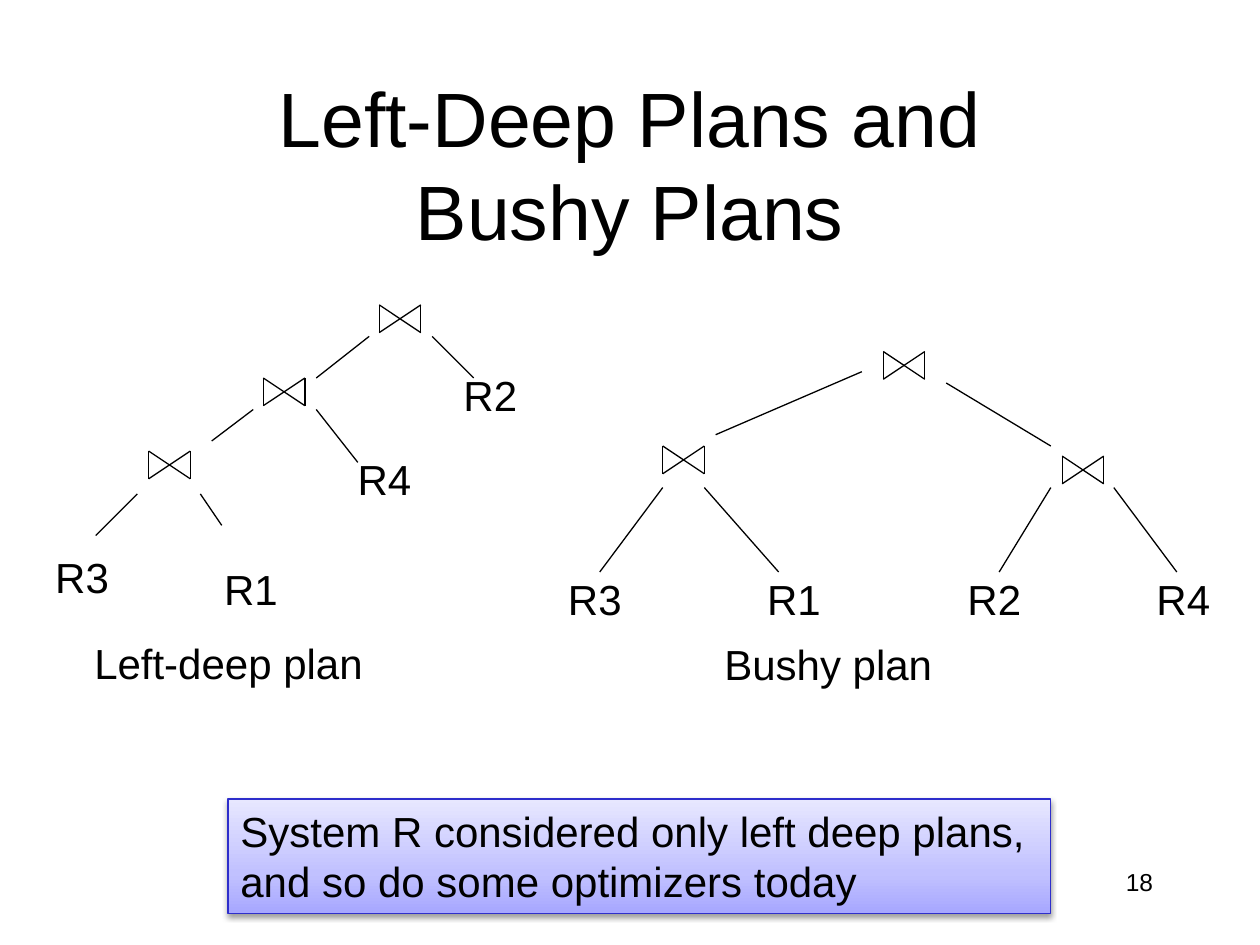
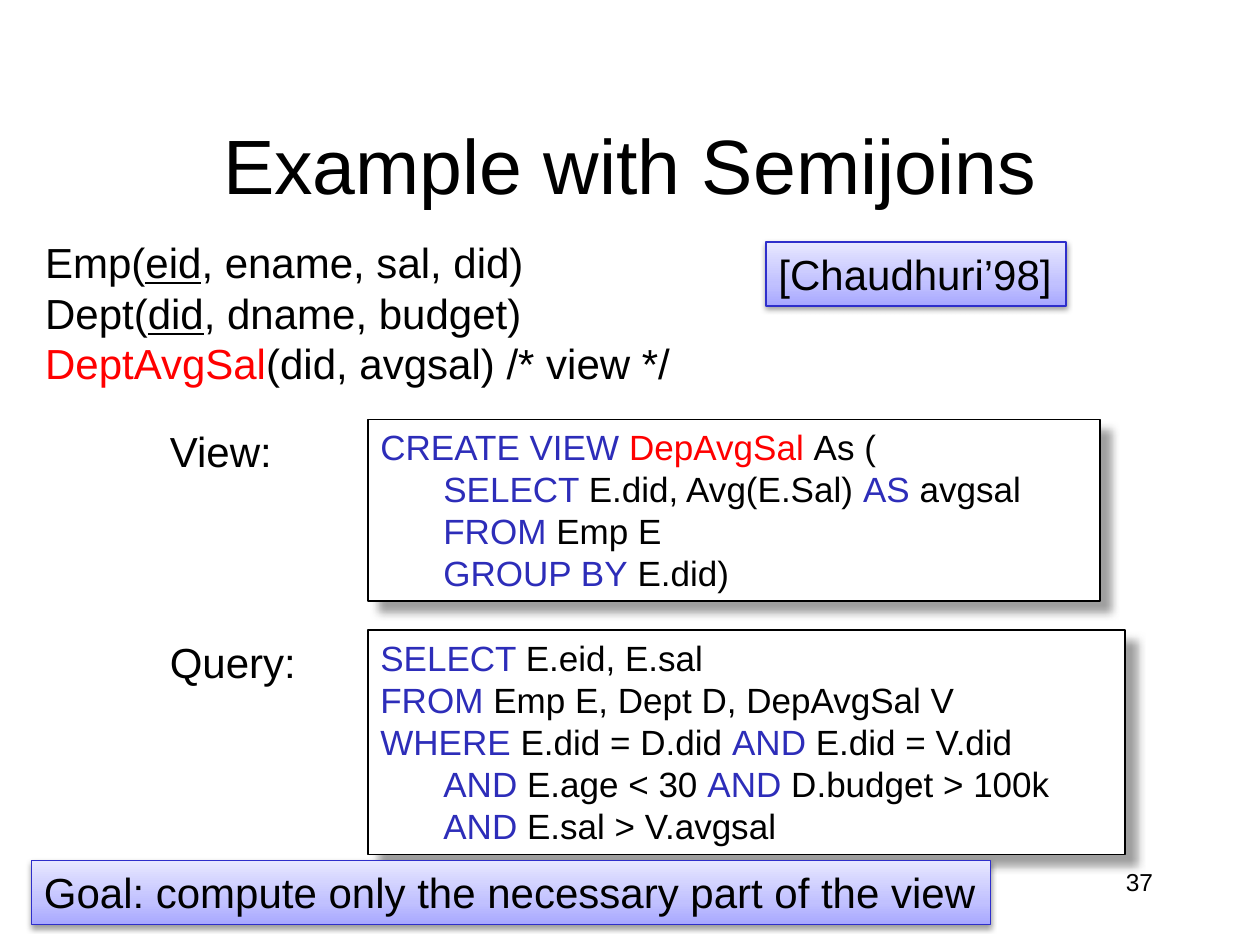
from copy import deepcopy
from dataclasses import dataclass
from typing import NamedTuple

from lxml.etree import SubElement
from pptx import Presentation
from pptx.dml.color import RGBColor
from pptx.enum.shapes import MSO_CONNECTOR as Connector, MSO_SHAPE as Preset
from pptx.enum.text import MSO_ANCHOR as Anchor, MSO_AUTO_SIZE as AutoSize, PP_ALIGN as Align
from pptx.oxml.ns import qn
from pptx.util import Inches, Pt


class Shadow(NamedTuple):
    color: str
    opacity: int
    blur: float
    distance: float
    angle: int


@dataclass(frozen=True)
class Theme:
    font: str = "Arial"
    title_size: int = 44
    body_size: int = 24
    code_size: int = 20
    number_size: int = 14
    line_width: float = 0.75
    ink: RGBColor = RGBColor(0, 0, 0)
    paper: RGBColor = RGBColor(255, 255, 255)
    keyword: RGBColor = RGBColor.from_string("2D2DB9")
    view_name: RGBColor = RGBColor.from_string("FF0000")
    callout_line: RGBColor = RGBColor.from_string("2E2ECB")
    callout_stops: tuple = ((0, "A7A7FF"), (0.35, "C1C1FF"), (1, "E7E7FF"))
    callout_shadow: Shadow = Shadow("000000", 38, 3.15, 1.57, 90)
    code_shadow: Shadow = Shadow("808080", 75, 5, 8.5, 45)


THEME = Theme()


class Run(NamedTuple):
    text: str
    color: RGBColor = THEME.ink
    underline: bool = False


class Box(NamedTuple):
    left: float
    top: float
    width: float
    height: float


class Edge(NamedTuple):
    x1: float
    y1: float
    x2: float
    y2: float


class Label(NamedTuple):
    text: str
    left: float
    top: float
    width: float = 0.63


@dataclass(frozen=True)
class PlanTree:
    joins: tuple
    edges: tuple
    labels: tuple


TITLE_BOX = Box(0.75, 0.67, 8.5, 1.25)
NUMBER_BOX = Box(7.17, 6.83, 2.08, 0.5)
LABEL_HEIGHT = 0.5
JOIN_WIDTH, JOIN_HEIGHT = 0.33, 0.22
CODE_LEFT, CODE_LABEL_LEFT = 2.92, 1.25

BUSHY_PLAN = PlanTree(
    joins=((5.26, 3.54), (8.43, 3.62), (7.01, 2.79)),
    edges=(
        Edge(5.26, 3.87, 4.76, 4.54),
        Edge(5.59, 3.87, 6.18, 4.54),
        Edge(8.34, 3.87, 7.93, 4.54),
        Edge(8.84, 3.87, 9.34, 4.54),
        Edge(6.84, 2.95, 5.68, 3.45),
        Edge(7.51, 3.04, 8.34, 3.54),
    ),
    labels=(
        Label("R3", 4.41, 4.5),
        Label("R1", 5.99, 4.5),
        Label("R2", 7.58, 4.5),
        Label("R4", 9.08, 4.5),
        Label("Bushy plan", 5.65, 5.02, 1.85),
    ),
)

LEFT_DEEP_PLAN = PlanTree(
    joins=((3.01, 2.42), (2.09, 3), (1.18, 3.58)),
    edges=(
        Edge(1.09, 3.92, 0.76, 4.25),
        Edge(1.59, 3.92, 1.76, 4.17),
        Edge(2.01, 3.25, 1.68, 3.5),
        Edge(2.51, 3.25, 2.84, 3.67),
        Edge(2.93, 2.67, 2.51, 3),
        Edge(3.43, 2.67, 3.76, 3),
    ),
    labels=(
        Label("R3", 0.34, 4.33),
        Label("R1", 1.68, 4.42),
        Label("R4", 2.74, 3.55),
        Label("R2", 3.58, 2.88),
        Label("Left-deep plan", 0.65, 5.01, 2.34),
    ),
)


def keyword(text: str) -> Run:
    return Run(text, THEME.keyword)


VIEW_CODE = (
    (keyword("CREATE VIEW "), Run("DepAvgSal ", THEME.view_name), Run("As (")),
    (Run("\t"), keyword("SELECT "), Run("E.did, Avg(E.Sal) "), keyword("AS"), Run(" avgsal")),
    (Run("\t"), keyword("FROM "), Run("Emp E")),
    (Run("\t"), keyword("GROUP BY"), Run(" E.did)")),
)

QUERY_CODE = (
    (keyword("SELECT "), Run("E.eid, E.sal")),
    (keyword("FROM"), Run(" Emp E, Dept D, DepAvgSal V")),
    (keyword("WHERE"), Run(" E.did = D.did "), keyword("AND"), Run(" E.did = V.did")),
    (Run("\t"), keyword("AND "), Run("E.age < 30 "), keyword("AND"), Run(" D.budget > 100k")),
    (Run("\t"), keyword("AND"), Run(" E.sal > V.avgsal")),
)

SCHEMA = (
    (
        Run("Emp("),
        Run("eid", underline=True),
        Run(", ename, sal, did)\nDept("),
        Run("did", underline=True),
        Run(", dname, budget)"),
    ),
    (Run("DeptAvgSal", THEME.view_name), Run("(did, avgsal) /* view */")),
)


def apply_format(target, values: dict) -> None:
    for name, value in values.items():
        setattr(target, name, value)


def inches(values: tuple) -> list:
    return [Inches(value) for value in values]


def plain(text: str) -> tuple:
    return ((Run(text),),)


def write_text(shape, paragraphs: tuple, size: int, align=Align.LEFT, **frame_format) -> None:
    frame = shape.text_frame
    defaults = {
        "word_wrap": False,
        "auto_size": AutoSize.SHAPE_TO_FIT_TEXT,
        "vertical_anchor": Anchor.TOP,
    }
    apply_format(frame, defaults | frame_format)
    for index, runs in enumerate(paragraphs):
        paragraph = frame.add_paragraph() if index else frame.paragraphs[0]
        paragraph.alignment = align
        for run in runs:
            for part_index, part in enumerate(run.text.split("\n")):
                if part_index:
                    paragraph.add_line_break()
                piece = paragraph.add_run()
                piece.text = part
                font_format = {"name": THEME.font, "size": Pt(size), "underline": run.underline}
                apply_format(piece.font, font_format)
                piece.font.color.rgb = run.color


def add_text(slide, box: Box, paragraphs: tuple, size: int = THEME.body_size, **options) -> None:
    write_text(slide.shapes.add_textbox(*inches(box)), paragraphs, size, **options)


def add_label(slide, label: Label) -> None:
    box = Box(label.left, label.top, label.width, LABEL_HEIGHT)
    add_text(slide, box, plain(label.text))


def add_line(shapes, edge: Edge) -> None:
    line = shapes.add_connector(Connector.STRAIGHT, *inches(edge))
    line.line.color.rgb = THEME.ink
    line.line.width = Pt(THEME.line_width)
    SubElement(line._element.spPr, qn("a:effectLst"))


def add_join(slide, left: float, top: float) -> None:
    right, bottom = left + JOIN_WIDTH, top + JOIN_HEIGHT
    corners = ((left, top), (right, bottom), (right, top), (left, bottom))
    group = slide.shapes.add_group_shape()
    for start, end in zip(corners, corners[1:] + corners[:1]):
        add_line(group.shapes, Edge(*start, *end))


def add_plan(slide, plan: PlanTree) -> None:
    for left, top in plan.joins:
        add_join(slide, left, top)
    for edge in plan.edges:
        add_line(slide.shapes, edge)
    for label in plan.labels:
        add_label(slide, label)


def add_shadow(shape, shadow: Shadow) -> None:
    shape.shadow.inherit = False
    effects = shape._element.spPr.find(qn("a:effectLst"))
    outer = SubElement(
        effects,
        qn("a:outerShdw"),
        blurRad=str(Pt(shadow.blur)),
        dist=str(Pt(shadow.distance)),
        dir=str(shadow.angle * 60000),
        rotWithShape="0",
    )
    color = SubElement(outer, qn("a:srgbClr"), val=shadow.color)
    SubElement(color, qn("a:alpha"), val=str(shadow.opacity * 1000))


def add_panel(slide, box: Box, line_color: RGBColor, shadow: Shadow):
    panel = slide.shapes.add_shape(Preset.RECTANGLE, *inches(box))
    panel.line.color.rgb = line_color
    panel.line.width = Pt(THEME.line_width)
    add_shadow(panel, shadow)
    return panel


def add_callout(slide, box: Box, text: str) -> None:
    panel = add_panel(slide, box, THEME.callout_line, THEME.callout_shadow)
    panel.fill.gradient()
    panel.fill.gradient_angle = 90
    stop_list = panel._element.spPr.find(qn("a:gradFill")).find(qn("a:gsLst"))
    stop_list.append(deepcopy(stop_list[0]))
    for stop, (position, color) in zip(panel.fill.gradient_stops, THEME.callout_stops):
        stop.position = position
        stop.color.rgb = RGBColor.from_string(color)
    write_text(panel, plain(text), THEME.body_size)


def add_code(slide, label: str, label_width: float, box: Box, code: tuple) -> None:
    panel = add_panel(slide, box, THEME.ink, THEME.code_shadow)
    panel.fill.solid()
    panel.fill.fore_color.rgb = THEME.paper
    write_text(panel, code, THEME.code_size)
    add_label(slide, Label(label, CODE_LABEL_LEFT, box.top, label_width))


def add_slide(presentation, title: str, number: int):
    slide = presentation.slides.add_slide(presentation.slide_layouts[6])
    fixed = {"word_wrap": True, "auto_size": AutoSize.NONE}
    add_text(slide, TITLE_BOX, plain(title), THEME.title_size,
             align=Align.CENTER, vertical_anchor=Anchor.MIDDLE, **fixed)
    add_text(slide, NUMBER_BOX, plain(str(number)), THEME.number_size, align=Align.RIGHT, **fixed)
    return slide


def build_plans_slide(presentation) -> None:
    slide = add_slide(presentation, "Left-Deep Plans and\nBushy Plans", 18)
    add_plan(slide, BUSHY_PLAN)
    add_plan(slide, LEFT_DEEP_PLAN)
    add_callout(
        slide,
        Box(1.81, 6.34, 6.53, 0.91),
        "System R considered only left deep plans, \nand so do some optimizers today",
    )


def build_semijoins_slide(presentation) -> None:
    slide = add_slide(presentation, "Example with Semijoins", 37)
    add_callout(slide, Box(6.08, 1.92, 2.38, 0.51), "[Chaudhuri’98]")
    add_text(slide, Box(0.26, 1.83, 5.17, 1.3), SCHEMA)
    add_code(slide, "View:", 1.02, Box(CODE_LEFT, 3.33, 5.81, 1.44), VIEW_CODE)
    add_code(slide, "Query:", 1.2, Box(CODE_LEFT, 5, 6.01, 1.78), QUERY_CODE)
    add_callout(slide, Box(0.25, 6.83, 7.61, 0.51),
                "Goal: compute only the necessary part of the view")


def main() -> None:
    presentation = Presentation()
    presentation.slide_width, presentation.slide_height = Inches(10), Inches(7.5)
    build_plans_slide(presentation)
    build_semijoins_slide(presentation)
    presentation.save("out.pptx")


if __name__ == "__main__":
    main()
